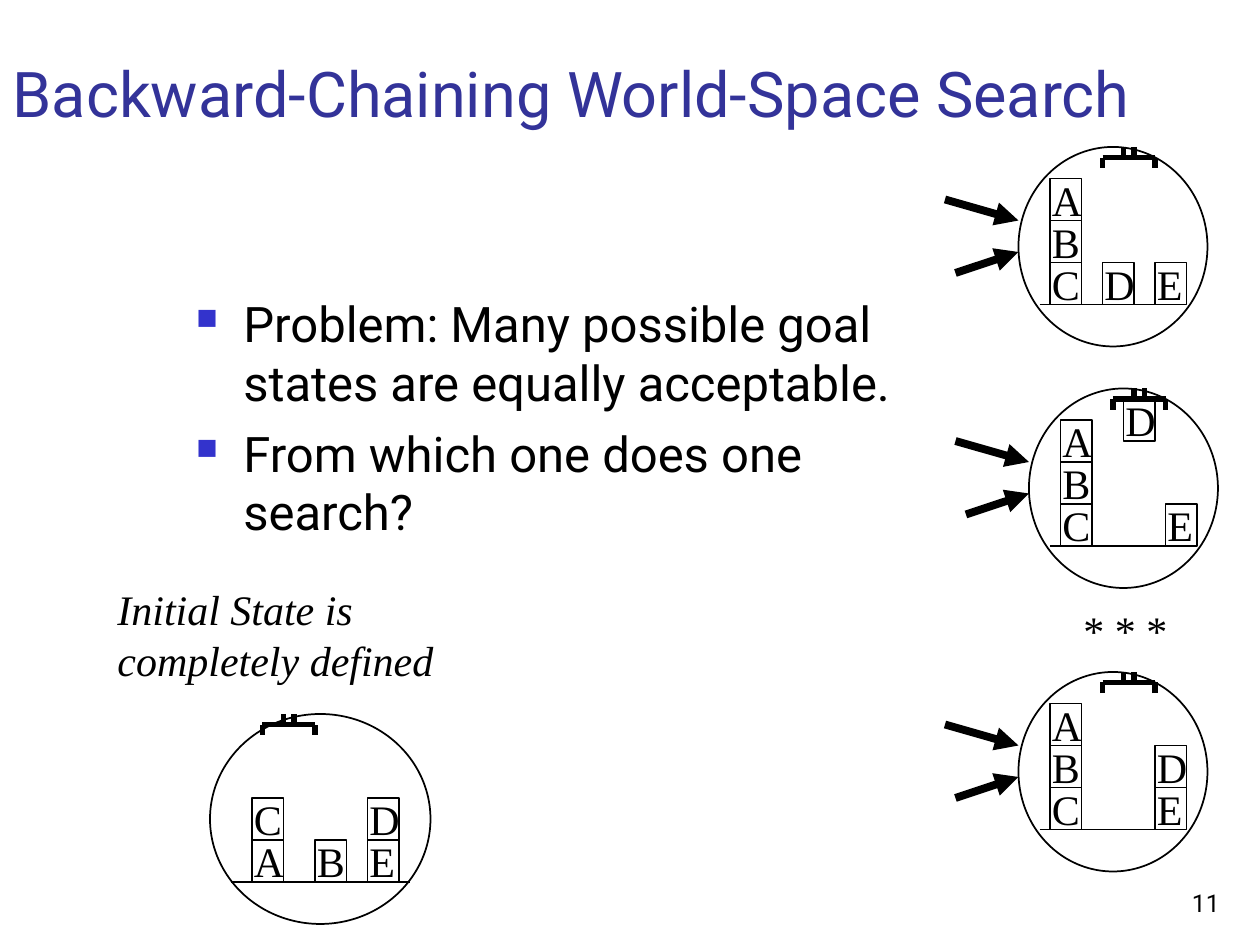
from lxml import etree
from pptx import Presentation
from pptx.dml.color import RGBColor
from pptx.enum.shapes import MSO_CONNECTOR, MSO_SHAPE
from pptx.enum.text import MSO_ANCHOR, MSO_AUTO_SIZE, PP_ALIGN
from pptx.oxml.ns import qn
from pptx.util import Pt

STRAIGHT = MSO_CONNECTOR.STRAIGHT
RECTANGLE, OVAL = MSO_SHAPE.RECTANGLE, MSO_SHAPE.OVAL
TOP, BOTTOM = MSO_ANCHOR.TOP, MSO_ANCHOR.BOTTOM
LEFT, RIGHT = PP_ALIGN.LEFT, PP_ALIGN.RIGHT
NO_AUTOFIT = MSO_AUTO_SIZE.NONE

BLACK = RGBColor(0x00, 0x00, 0x00)
TITLE_BLUE = RGBColor(0x33, 0x33, 0x99)
BULLET_BLUE = RGBColor(0x33, 0x33, 0xCC)
SANS, SERIF = "Roboto", "Times New Roman"

BLOCK_WIDTH, BLOCK_HEIGHT = 18, 24
GOAL_SIZE = (108, 114)
TOWER = [("C", 18, 0), ("B", 18, 1), ("A", 18, 2)]
GOALS = [
    (582, 84, [("D", 48, 0), ("E", 78, 0)]),
    (588, 222, [("D", 54, 2.5), ("E", 78, 0)]),
    (582, 384, [("D", 78, 1), ("E", 78, 0)]),
]
INITIAL_BLOCKS = [("A", 24, 0), ("C", 24, 1), ("B", 60, 0), ("D", 90, 1), ("E", 90, 0)]


def format_paragraph(paragraph, size, name, color=BLACK, align=LEFT):
    """Set the alignment and font of a paragraph."""
    paragraph.alignment = align
    paragraph.font.size = Pt(size)
    paragraph.font.name = name
    paragraph.font.color.rgb = color


def add_text(shapes, box, text, size, name, align=LEFT, anchor=TOP):
    """Add a wrapped text box with one paragraph and return the paragraph."""
    frame = shapes.add_textbox(*map(Pt, box)).text_frame
    frame.word_wrap = True
    frame.vertical_anchor = anchor
    paragraph = frame.paragraphs[0]
    paragraph.text = text
    format_paragraph(paragraph, size, name, align=align)
    return paragraph


def add_outline(shapes, kind, box):
    """Add an unfilled shape with a thin black outline."""
    shape = shapes.add_shape(kind, *map(Pt, box))
    shape.shadow.inherit = False
    shape.fill.background()
    shape.line.color.rgb = BLACK
    shape.line.width = Pt(1)


def add_line(shapes, start, end, width, arrow=False):
    """Add a straight black line, with an arrowhead at its end if asked."""
    connector = shapes.add_connector(STRAIGHT, *map(Pt, start + end))
    connector.line.color.rgb = BLACK
    connector.line.width = Pt(width)
    properties = connector._element.spPr
    if arrow:
        line = properties.find(qn("a:ln"))
        etree.SubElement(line, qn("a:tailEnd"), type="triangle")
    etree.SubElement(properties, qn("a:effectLst"))


def add_block(slide, letter, left, top):
    """Add a lettered block."""
    shapes = slide.shapes.add_group_shape().shapes
    add_outline(shapes, RECTANGLE, (left, top, BLOCK_WIDTH, BLOCK_HEIGHT))
    add_text(shapes, (left - 6, top - 6, 32, 36), letter, 24, SERIF)


def add_gripper(slide, left, top):
    """Add a robot hand hanging down from the given top."""
    shapes = slide.shapes.add_group_shape().shapes
    bar = top + 6
    add_line(shapes, (left, bar), (left + 30, bar), 3)
    for x in (left, left + 30):
        add_line(shapes, (x, bar + 6), (x, bar), 3)
    for x in (left + 12, left + 18):
        add_line(shapes, (x, top), (x, bar), 3)


def add_world(slide, left, top, size, ground, gripper, blocks):
    """Add a world state; blocks are letter, offset and level above ground."""
    width, height = size
    floor = top + ground
    add_outline(slide.shapes, OVAL, (left, top, width, height))
    add_line(slide.shapes, (left + 12, floor), (left + width - 12, floor), 1)
    add_gripper(slide, left + gripper, top)
    for letter, offset, level in blocks:
        add_block(slide, letter, left + offset, floor - (level + 1) * BLOCK_HEIGHT)


def add_goal(slide, left, top, loose_blocks):
    """Add a goal state with its two incoming arrows."""
    add_line(slide.shapes, (left - 36, top + 72), (left, top + 60), 4.5, arrow=True)
    add_line(slide.shapes, (left - 42, top + 30), (left, top + 42), 4.5, arrow=True)
    add_world(slide, left, top, GOAL_SIZE, 90, 48, TOWER + loose_blocks)


def add_bullets(slide, box, texts):
    """Add a list with square bullets."""
    frame = slide.shapes.add_textbox(*map(Pt, box)).text_frame
    frame.word_wrap = True
    for index, text in enumerate(texts):
        paragraph = frame.add_paragraph() if index else frame.paragraphs[0]
        paragraph.text = text
        paragraph.space_before = Pt(7 if index else 0)
        properties = paragraph._p.get_or_add_pPr()
        properties.set("marL", str(Pt(27)))
        properties.set("indent", str(-Pt(27)))
        color = etree.SubElement(properties, qn("a:buClr"))
        etree.SubElement(color, qn("a:srgbClr"), val=str(BULLET_BLUE))
        etree.SubElement(properties, qn("a:buSzPct"), val="60000")
        etree.SubElement(properties, qn("a:buChar"), char="■")
        format_paragraph(paragraph, 28, SANS)


def set_title(slide, text):
    """Place and format the slide title."""
    title = slide.shapes.title
    title.left, title.top, title.width, title.height = map(Pt, (0, 0, 732, 78))
    frame = title.text_frame
    frame.text = text
    frame.auto_size = NO_AUTOFIT
    frame.vertical_anchor = BOTTOM
    format_paragraph(frame.paragraphs[0], 36, SANS, TITLE_BLUE)


def main():
    """Build the slide and save it."""
    presentation = Presentation()
    presentation.slide_width, presentation.slide_height = Pt(720), Pt(540)
    slide = presentation.slides.add_slide(presentation.slide_layouts[5])
    set_title(slide, "Backward-Chaining World-Space Search")
    for left, top, loose_blocks in GOALS:
        add_goal(slide, left, top, loose_blocks)
    add_text(slide.shapes, (612, 342, 64, 36), "* * *", 24, SERIF)
    add_bullets(slide, (105, 164, 462, 236), [
        "Problem: Many possible goal states are equally acceptable.",
        "From which one does one search?",
    ])
    add_world(slide, 120, 408, (126, 120), 96, 30, INITIAL_BLOCKS)
    caption = add_text(slide.shapes, (60, 330, 234, 65),
                       "Initial State is completely defined", 24, SERIF)
    caption.font.italic = True
    add_text(slide.shapes, (554, 492, 150, 36), "11", 14, SANS, RIGHT, BOTTOM)
    presentation.save("out.pptx")


if __name__ == "__main__":
    main()
